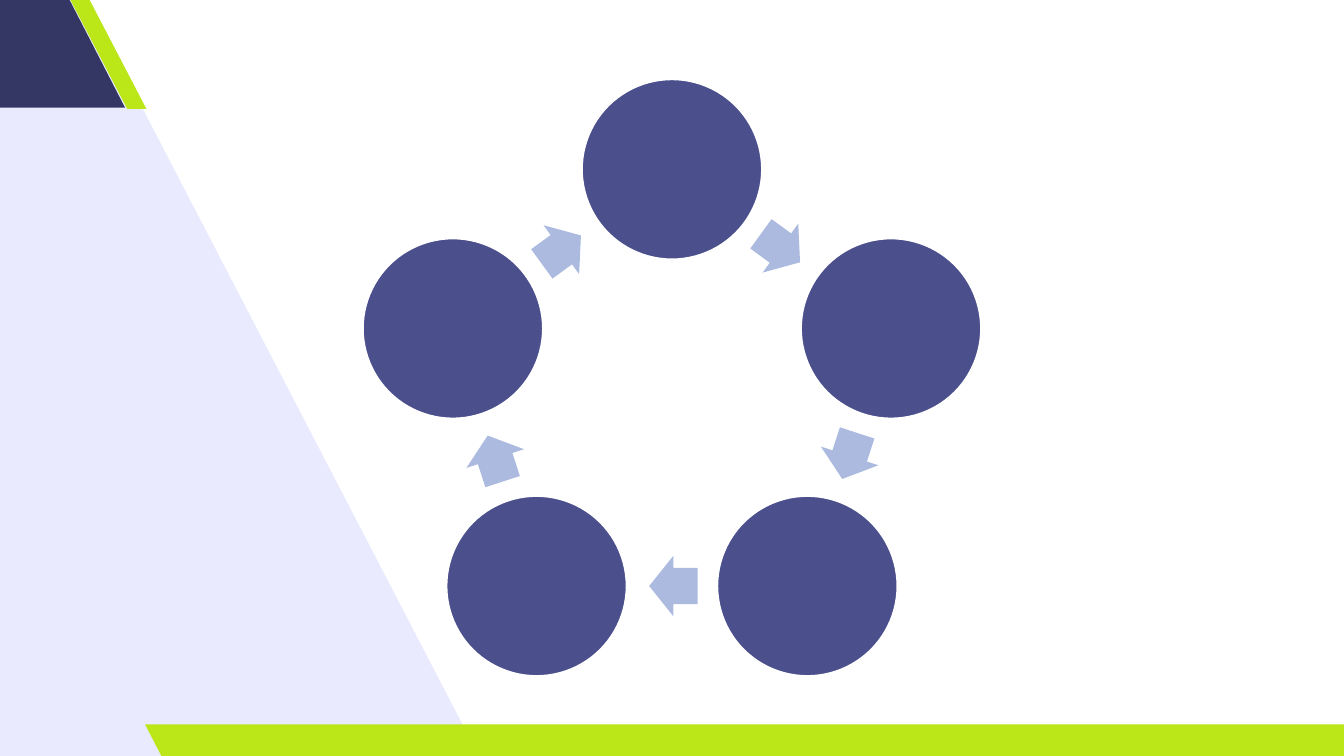
from math import cos, radians, sin

from pptx import Presentation
from pptx.dml.color import RGBColor
from pptx.enum.shapes import MSO_SHAPE
from pptx.util import Inches, Pt

WHITE = RGBColor(0xFF, 0xFF, 0xFF)
LAVENDER = RGBColor(0xE9, 0xEA, 0xFD)
NAVY = RGBColor(0x34, 0x37, 0x64)
LIME = RGBColor(0xBB, 0xE6, 0x17)
INDIGO = RGBColor(0x4B, 0x50, 0x8D)
PERIWINKLE = RGBColor(0xAB, 0xBA, 0xDE)

SIDE_PANEL = [(3.56, 5.62), (0.62, -0.04), (-0.06, -0.04), (-0.02, 5.66)]
# left, top, width, height, slant, colour
BANDS = [
    (-0.99, -0.02, 1.92, 0.82, 0.515, NAVY),
    (0.52, -0.01, 0.57, 0.82, 0.75, LIME),
    (1.08, 5.39, 9.15, 0.25, 0.515, LIME),
]

STEPS = 5
STEP_ANGLE = 360 / STEPS
CYCLE_SPREAD = 3.26  # between the centres of the leftmost and rightmost circles
RADIUS = CYCLE_SPREAD / 2 / sin(radians(STEP_ANGLE))
CENTER_X, CENTER_Y = 5, 1.26 + RADIUS
CIRCLE_SIZE = 1.34
ARROW_WIDTH, ARROW_HEIGHT = 0.36, 0.45
ARROW_SETBACK = 0.01


def style(shape, color, outline=None):
    shape.shadow.inherit = False
    shape.fill.solid()
    shape.fill.fore_color.rgb = color
    if outline is None:
        shape.line.fill.background()
    else:
        shape.line.color.rgb = outline
        shape.line.width = Pt(1)


def add_centered(shapes, preset, x, y, width, height):
    return shapes.add_shape(preset, Inches(x - width / 2), Inches(y - height / 2),
                            Inches(width), Inches(height))


def add_backdrop(shapes):
    corners = [(Inches(x), Inches(y)) for x, y in SIDE_PANEL]
    outline = shapes.build_freeform(*corners[0])
    outline.add_line_segments(corners[1:], close=True)
    style(outline.convert_to_shape(), LAVENDER)

    for left, top, width, height, slant, color in BANDS:
        band = shapes.add_shape(MSO_SHAPE.PARALLELOGRAM, Inches(left), Inches(top),
                                Inches(width), Inches(height))
        band.adjustments[0] = slant
        band.element.spPr.xfrm.set("flipH", "1")
        style(band, color)


def add_cycle(shapes):
    apothem = RADIUS * cos(radians(STEP_ANGLE / 2))
    for step in range(STEPS):
        angle = radians(step * STEP_ANGLE)
        circle = add_centered(shapes, MSO_SHAPE.OVAL,
                              CENTER_X + RADIUS * sin(angle),
                              CENTER_Y - RADIUS * cos(angle),
                              CIRCLE_SIZE, CIRCLE_SIZE)
        style(circle, INDIGO, WHITE)

        heading = (step + 0.5) * STEP_ANGLE
        dx, dy = cos(radians(heading)), sin(radians(heading))
        arrow = add_centered(shapes, MSO_SHAPE.RIGHT_ARROW,
                             CENTER_X + apothem * dy - ARROW_SETBACK * dx,
                             CENTER_Y - apothem * dx - ARROW_SETBACK * dy,
                             ARROW_WIDTH, ARROW_HEIGHT)
        arrow.adjustments[0] = 0.6
        arrow.adjustments[1] = 0.5
        arrow.rotation = heading
        style(arrow, PERIWINKLE)


def main():
    presentation = Presentation()
    presentation.slide_width = Inches(10)
    presentation.slide_height = Inches(10) * 9 // 16
    slide = presentation.slides.add_slide(presentation.slide_layouts[6])
    slide.background.fill.solid()
    slide.background.fill.fore_color.rgb = WHITE
    add_backdrop(slide.shapes)
    add_cycle(slide.shapes.add_group_shape().shapes)
    presentation.save("out.pptx")


if __name__ == "__main__":
    main()
